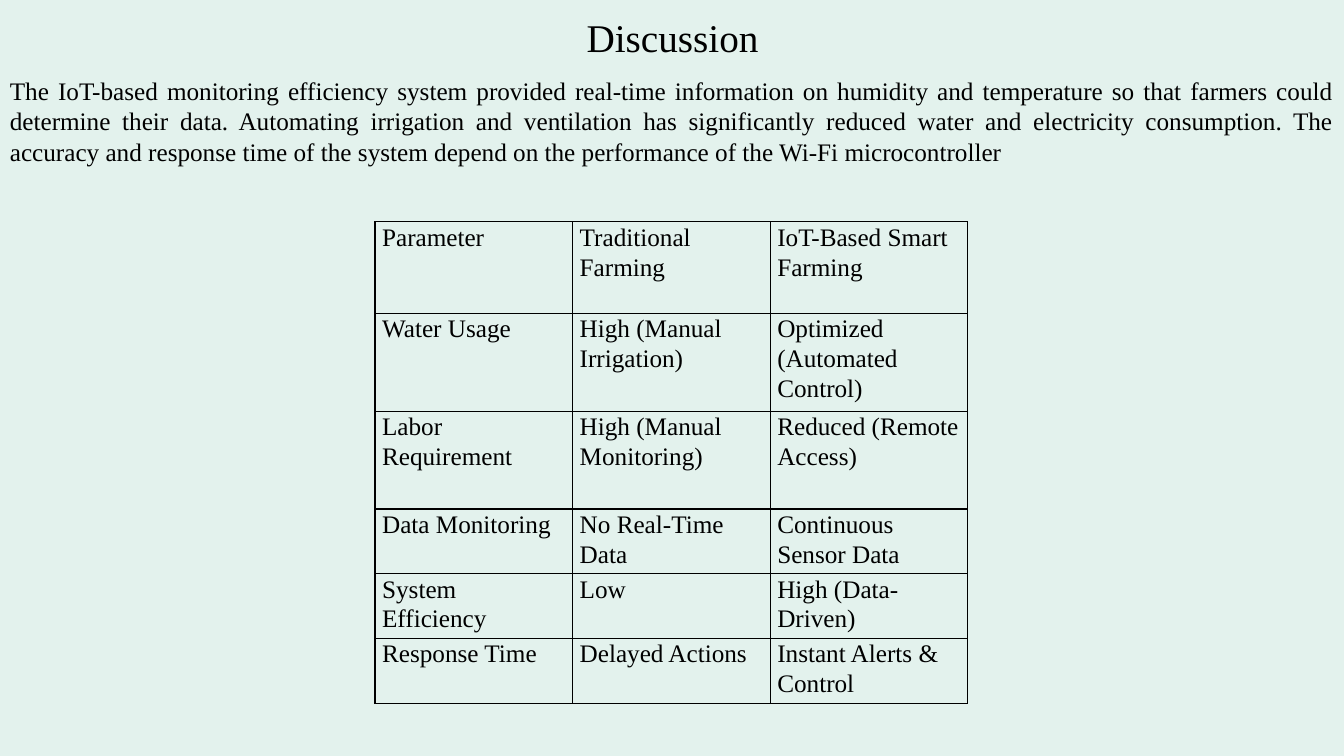
import pptx
import pptx.util
import pptx.dml.color
import pptx.enum.text
import pptx.oxml
import pptx.oxml.ns

Inches, Pt = pptx.util.Inches, pptx.util.Pt
RGB = pptx.dml.color.RGBColor.from_string
ALIGN, ANCHOR = pptx.enum.text.PP_ALIGN, pptx.enum.text.MSO_ANCHOR
COLORS = {"background": "E3F2ED", "ink": "000000"}


def write(tf, text, size, align, spacing):
    tf.text = text
    p = tf.paragraphs[0]
    p.alignment, p.line_spacing = align, spacing
    font = p.runs[0].font
    font.name, font.size, font.bold = "Times New Roman", Pt(size), False
    font.color.rgb = RGB(COLORS["ink"])


def add_borders(cell, color):
    tcPr = cell._tc.get_or_add_tcPr()
    for i, side in enumerate(("lnL", "lnR", "lnT", "lnB")):
        tcPr.insert(i, pptx.oxml.parse_xml(
            f'<a:{side} {pptx.oxml.ns.nsdecls("a")} w="{Pt(1)}"><a:solidFill>'
            f'<a:srgbClr val="{color}"/></a:solidFill></a:{side}>'))


prs = pptx.Presentation()
prs.slide_width, prs.slide_height = Inches(13.33), Inches(7.5)
s = prs.slides.add_slide(prs.slide_layouts[5])
s.background.fill.solid()
s.background.fill.fore_color.rgb = RGB(COLORS["background"])

# Title
title = s.shapes.title
title.left, title.top = Inches(0.92), Inches(-0.33)
title.width, title.height = Inches(11.5), Inches(1.45)
title.text_frame.vertical_anchor = ANCHOR.MIDDLE
write(title.text_frame, "Discussion", 28, ALIGN.CENTER, 0.9)

# Discussion paragraph
body = s.shapes.add_textbox(0, Inches(0.7), Inches(13.33), Inches(1.01))
body.text_frame.word_wrap = True
write(body.text_frame,
      "The IoT-based monitoring efficiency system provided real-time information on "
      "humidity and temperature so that farmers could determine their data. Automating "
      "irrigation and ventilation has significantly reduced water and electricity "
      "consumption. The accuracy and response time of the system depend on the "
      "performance of the Wi-Fi microcontroller", 18, ALIGN.JUSTIFY, 1.0)

# Comparison table
rows = [
    ("Parameter", "Traditional Farming", "IoT-Based Smart Farming"),
    ("Water Usage", "High (Manual Irrigation)", "Optimized (Automated Control)"),
    ("Labor Requirement", "High (Manual Monitoring)", "Reduced (Remote Access)"),
    ("Data Monitoring", "No Real-Time Data", "Continuous Sensor Data"),
    ("System Efficiency", "Low", "High (Data-Driven)"),
    ("Response Time", "Delayed Actions", "Instant Alerts & Control"),
]
heights = [0.91, 0.97, 0.97, 0.64, 0.64, 0.64]
table = s.shapes.add_table(len(rows), 3, Inches(3.72), Inches(2.2),
                           Inches(5.89), Inches(sum(heights))).table
table.first_row = table.horz_banding = False
for column in table.columns:
    column.width = Inches(1.96)
for r, (height, texts) in enumerate(zip(heights, rows)):
    table.rows[r].height = Inches(height)
    for c, text in enumerate(texts):
        cell = table.cell(r, c)
        cell.margin_left = cell.margin_right = Inches(0.07)
        cell.margin_top = cell.margin_bottom = 0
        cell.fill.background()
        add_borders(cell, COLORS["ink"])
        write(cell.text_frame, text, 18, ALIGN.LEFT, 1.07)

prs.save("out.pptx")
